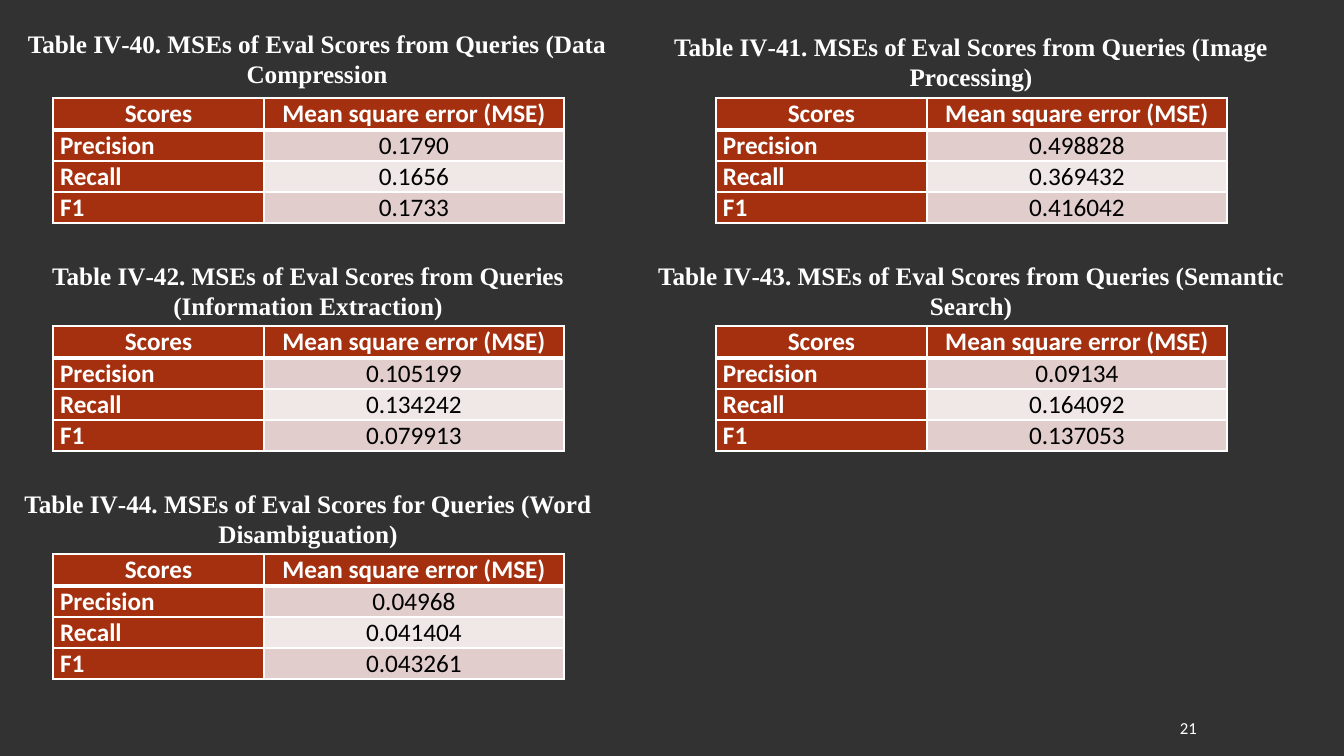
from lxml import etree
from pptx import Presentation
from pptx import util as u
from pptx.dml.color import RGBColor
from pptx.enum import text
from pptx.oxml.ns import qn

EMU_PER_PX = 914400 / 100.8

BACKGROUND = RGBColor(0x32, 0x32, 0x32)
WHITE = RGBColor(0xFF, 0xFF, 0xFF)
BLACK = RGBColor(0, 0, 0)
RUST = RGBColor(0xA5, 0x30, 0x0F)
PINK = RGBColor(0xE1, 0xCD, 0xCC)
PALE_PINK = RGBColor(0xF0, 0xE8, 0xE7)

HEADINGS = ("Scores", "Mean square error (MSE)")
MEASURES = ("Precision", "Recall", "F1")
COLUMN_WIDTHS = (211, 300)
ROW_HEIGHTS = (32, 31, 31, 31)
TABLE_LEFT, TABLE_TOP = 53, 98
COLUMN_PITCH, ROW_PITCH = 663, 228
CAPTION_WIDTH, CAPTION_HEIGHT = 672, 72

CAPTION_FONT = {"name": "Times New Roman", "size": u.Pt(18), "bold": True}
HEADING_FONT = {"name": "Calibri", "size": u.Pt(18), "bold": True}
VALUE_FONT = {"name": "Calibri", "size": u.Pt(18), "bold": False}
NUMBER_FONT = {"name": "Calibri", "size": u.Pt(12), "bold": False}

# Caption, caption nudge from the grid (x, y), scores; read row by row
RESULTS = (
    ("Table IV‑40. MSEs of Eval Scores from Queries (Data Compression",
     (9, -4), ("0.1790", "0.1656", "0.1733")),
    ("Table IV‑41. MSEs of Eval Scores from Queries (Image Processing)",
     (0, -1), ("0.498828", "0.369432", "0.416042")),
    ("Table IV‑42. MSEs of Eval Scores from Queries (Information Extraction)",
     (0, 0), ("0.105199", "0.134242", "0.079913")),
    ("Table IV‑43. MSEs of Eval Scores from Queries (Semantic Search)",
     (0, 0), ("0.09134", "0.164092", "0.137053")),
    ("Table IV‑44. MSEs of Eval Scores for Queries (Word Disambiguation)",
     (0, 0), ("0.04968", "0.041404", "0.043261")),
)


def px(length):
    return u.Emu(round(length * EMU_PER_PX))


def set_values(target, values):
    for name, value in values.items():
        setattr(target, name, value)


def write(frame, wording, font, color, alignment):
    paragraph = frame.paragraphs[0]
    paragraph.alignment = alignment
    run = paragraph.add_run()
    run.text = wording
    set_values(run.font, font)
    run.font.color.rgb = color


def add_label(slide, box, wording, font, alignment, frame_values):
    shape = slide.shapes.add_textbox(*map(px, box))
    set_values(shape.text_frame, {"word_wrap": True, **frame_values})
    write(shape.text_frame, wording, font, WHITE, alignment)


def set_borders(cell, widths):
    """Widths in points, by side; lines precede the fill in the cell."""
    properties = cell._tc.get_or_add_tcPr()
    for index, side in enumerate(("L", "R", "T", "B")):
        line = etree.Element(qn(f"a:ln{side}"), w=str(u.Pt(widths.get(side, 1))))
        fill = etree.SubElement(line, qn("a:solidFill"))
        etree.SubElement(fill, qn("a:srgbClr"), val=str(WHITE))
        properties.insert(index, line)


def format_cell(cell, wording, row, column):
    is_heading = row == 0 or column == 0
    set_values(cell, {
        "margin_left": px(7), "margin_right": px(7),
        "margin_top": 0, "margin_bottom": 0,
        "vertical_anchor": text.MSO_ANCHOR.MIDDLE,
    })
    cell.fill.solid()
    cell.fill.fore_color.rgb = RUST if is_heading else PINK if row % 2 else PALE_PINK
    set_borders(cell, {0: {"B": 3}, 1: {"T": 3}}.get(row, {}))
    write(cell.text_frame, wording,
          HEADING_FONT if is_heading else VALUE_FONT,
          WHITE if is_heading else BLACK,
          text.PP_ALIGN.JUSTIFY if row and column == 0 else text.PP_ALIGN.CENTER)


def add_score_table(slide, left, top, scores):
    rows = [HEADINGS, *zip(MEASURES, scores)]
    box = (left, top, sum(COLUMN_WIDTHS), sum(ROW_HEIGHTS))
    table = slide.shapes.add_table(len(rows), len(HEADINGS), *map(px, box)).table
    for column, width in zip(table.columns, COLUMN_WIDTHS):
        column.width = px(width)
    for row, height in zip(table.rows, ROW_HEIGHTS):
        row.height = px(height)
    for row, wordings in enumerate(rows):
        for column, wording in enumerate(wordings):
            format_cell(table.cell(row, column), wording, row, column)


def main():
    presentation = Presentation()
    presentation.slide_width, presentation.slide_height = px(1344), px(756)
    slide = presentation.slides.add_slide(presentation.slide_layouts[6])
    slide.background.fill.solid()
    slide.background.fill.fore_color.rgb = BACKGROUND

    # Captioned tables on a two-column grid
    for index, (caption, (shift_x, shift_y), scores) in enumerate(RESULTS):
        row, column = divmod(index, 2)
        left = TABLE_LEFT + column * COLUMN_PITCH
        top = TABLE_TOP + row * ROW_PITCH
        add_score_table(slide, left, top, scores)
        caption_left = left + (sum(COLUMN_WIDTHS) - CAPTION_WIDTH) // 2 + shift_x
        add_label(slide,
                  (caption_left, top - CAPTION_HEIGHT + 1 + shift_y,
                   CAPTION_WIDTH, CAPTION_HEIGHT),
                  caption, CAPTION_FONT, text.PP_ALIGN.CENTER,
                  {"auto_size": text.MSO_AUTO_SIZE.SHAPE_TO_FIT_TEXT})

    # Slide number
    add_label(slide, (1175, 708, 104, 40), "21", NUMBER_FONT, text.PP_ALIGN.LEFT,
              {"vertical_anchor": text.MSO_ANCHOR.MIDDLE, "margin_left": px(5)})

    presentation.save("out.pptx")


if __name__ == "__main__":
    main()
